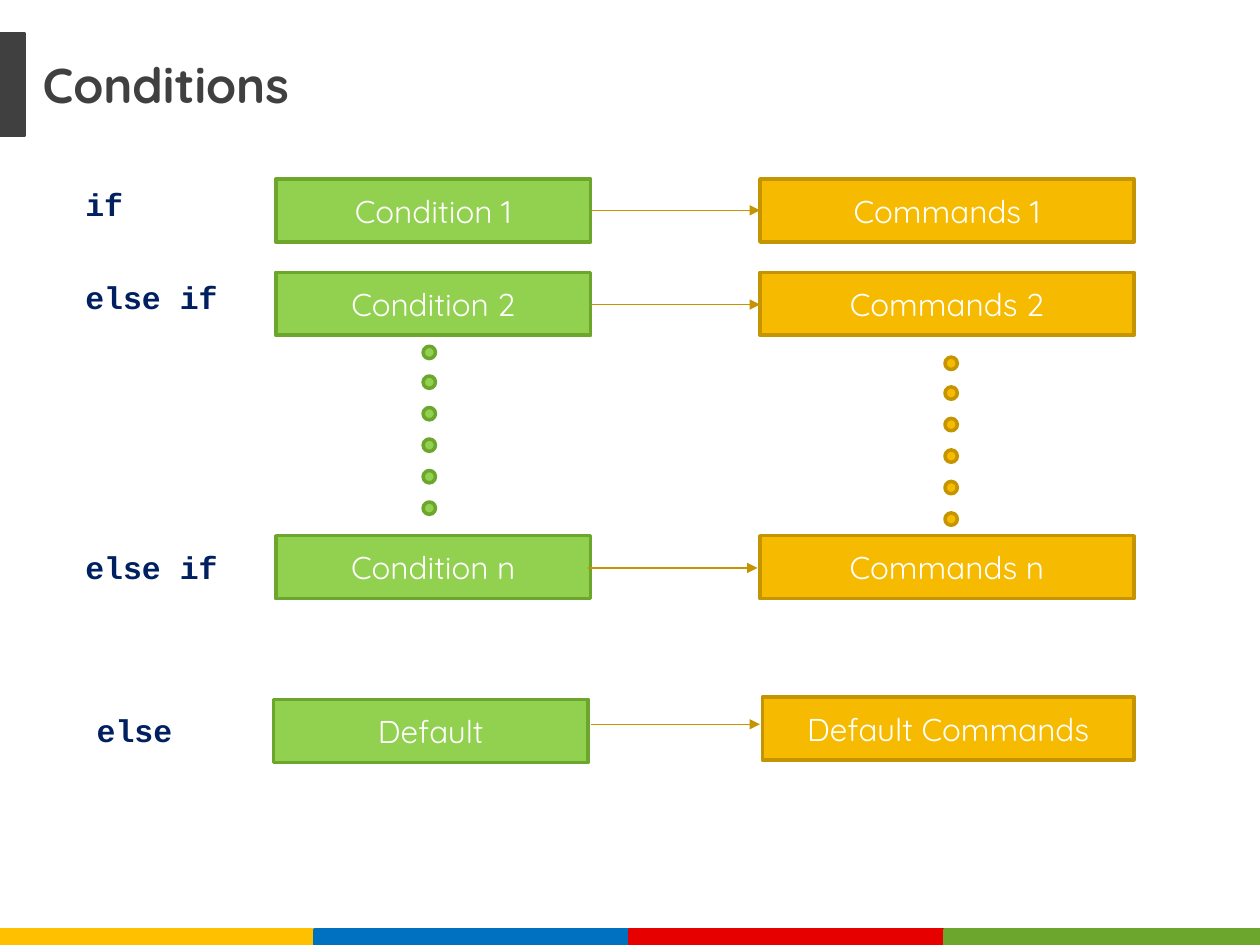
from lxml.etree import SubElement
from pptx import Presentation
from pptx.dml.color import RGBColor
from pptx.enum.shapes import MSO_CONNECTOR, MSO_SHAPE
from pptx.enum.text import MSO_ANCHOR, PP_ALIGN
from pptx.oxml.ns import qn
from pptx.util import Cm, Pt

GREEN = ("92D050", "6CA62C")
GOLD = ("F6BB00", "C49500")
DARK = "404040"
NAVY = "002060"
BOX_H = 1.27


def rgb(value):
    return RGBColor.from_string(value)


def set_text(sp, text, size, font, color, bold=False):
    p = sp.text_frame.paragraphs[0]
    p.text = text
    p.font.size = Pt(size)
    p.font.name = font
    p.font.bold = bold
    p.font.color.rgb = rgb(color)
    return p


def add_filled(s, kind, x, y, w, h, fill, line):
    sp = s.shapes.add_shape(kind, Cm(x), Cm(y), Cm(w), Cm(h))
    sp.shadow.inherit = False
    sp.fill.solid()
    sp.fill.fore_color.rgb = rgb(fill)
    sp.line.color.rgb = rgb(line)
    sp.line.width = Pt(2)
    return sp


def add_box(s, text, x, y, w, colors):
    sp = add_filled(s, MSO_SHAPE.RECTANGLE, x, y, w, BOX_H, *colors)
    sp.text_frame.word_wrap = True
    sp.text_frame.vertical_anchor = MSO_ANCHOR.MIDDLE
    p = set_text(sp, text, 18, "Quicksand", "FFFFFF")
    p.alignment = PP_ALIGN.CENTER


def add_label(s, text, x, y, w, h, size, font, color):
    sp = s.shapes.add_textbox(Cm(x), Cm(y), Cm(w), Cm(h))
    sp.text_frame.word_wrap = True
    set_text(sp, text, size, font, color, bold=True)


def add_arrow(s, x, y, length):
    line = s.shapes.add_connector(
        MSO_CONNECTOR.STRAIGHT, Cm(x), Cm(y), Cm(x + length), Cm(y))
    line.line.color.rgb = rgb(GOLD[1])
    line.line.width = Pt(0.75)
    SubElement(line.line._get_or_add_ln(), qn("a:tailEnd"), type="triangle")
    SubElement(line._element.spPr, qn("a:effectLst"))


def add_dots(s, x, top, colors):
    # The first gap is slightly shorter than the others
    offsets = [0] + [0.6 + 0.635 * i for i in range(5)]
    for offset in offsets:
        add_filled(s, MSO_SHAPE.OVAL, x, top + offset, 0.25, 0.25, *colors)


def main():
    prs = Presentation()
    prs.slide_width, prs.slide_height = Cm(25.4), Cm(19.05)
    s = prs.slides.add_slide(prs.slide_layouts[6])

    # Footer stripe
    for i, color in enumerate(("FFC000", "0070C0", "E60000", "6CA62C")):
        add_filled(s, MSO_SHAPE.RECTANGLE, i * 6.35, 18.75, 6.35, 0.3,
                   color, color)

    # Title with side tab
    add_label(s, "Conditions", 0.61, 0.97, 7.92, 1.45, 28, "Quicksand", DARK)
    add_filled(s, MSO_SHAPE.RECTANGLE, 0, 0.69, 0.5, 2.03, DARK, DARK)

    # Branches: keyword (x, y), condition (x, y), commands (x, y), arrow (x, y)
    branches = [
        ("if", (1.47, 3.61), "Condition 1", (5.56, 3.61),
         "Commands 1", (15.32, 3.61), (11.91, 4.24)),
        ("else if", (1.47, 5.49), "Condition 2", (5.56, 5.49),
         "Commands 2", (15.32, 5.49), (11.91, 6.14)),
        ("else if", (1.47, 10.92), "Condition n", (5.56, 10.8),
         "Commands n", (15.32, 10.8), (11.86, 11.45)),
        ("else", (1.7, 14.2), "Default", (5.51, 14.1),
         "Default Commands", (15.37, 14.05), (11.91, 14.6)),
    ]
    right_edge = 22.86
    for word, word_at, cond, cond_at, cmd, cmd_at, arrow_at in branches:
        add_label(s, word, *word_at, 3.61, 1.02, 18, "Courier New", NAVY)
        add_box(s, cond, *cond_at, 6.35, GREEN)
        add_box(s, cmd, *cmd_at, right_edge - cmd_at[0], GOLD)
        add_arrow(s, *arrow_at, 3.41)

    # Dots standing for the branches in between
    add_dots(s, 8.53, 6.98, GREEN)
    add_dots(s, 19.05, 7.2, GOLD)

    prs.save("out.pptx")


if __name__ == "__main__":
    main()
